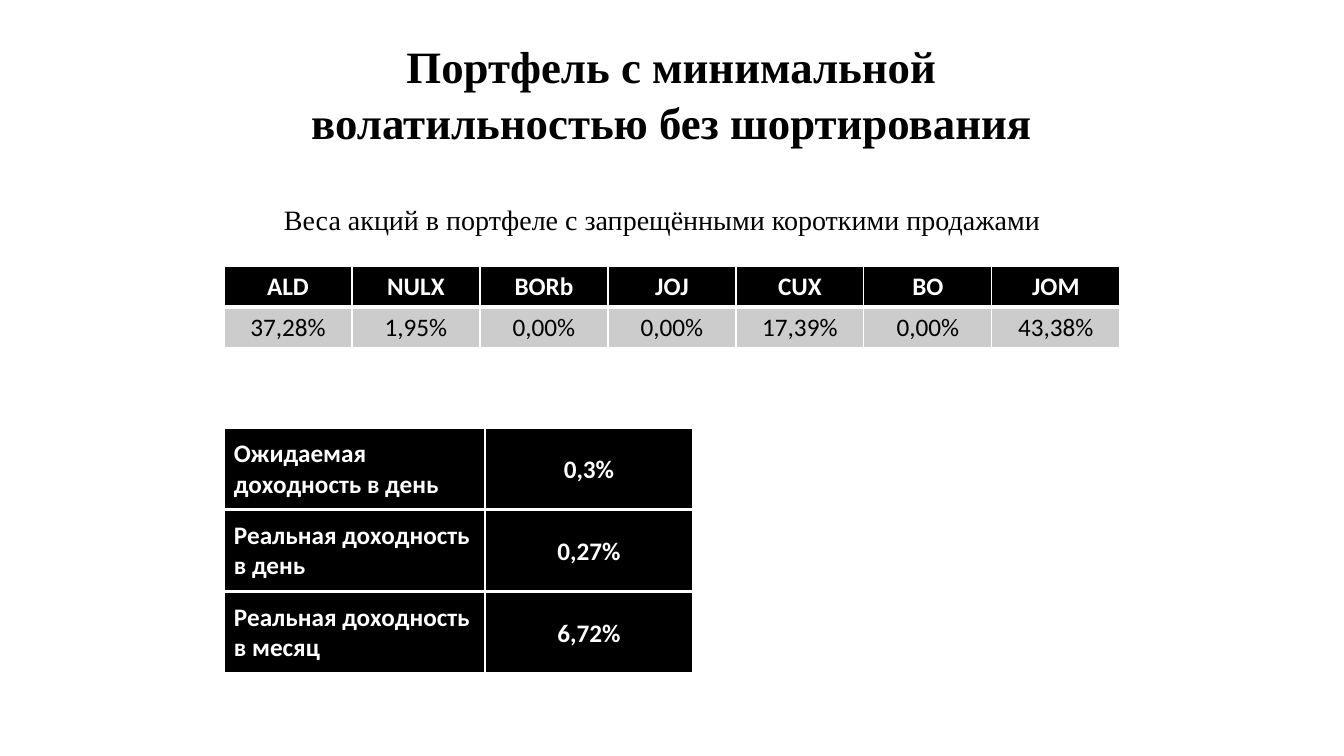
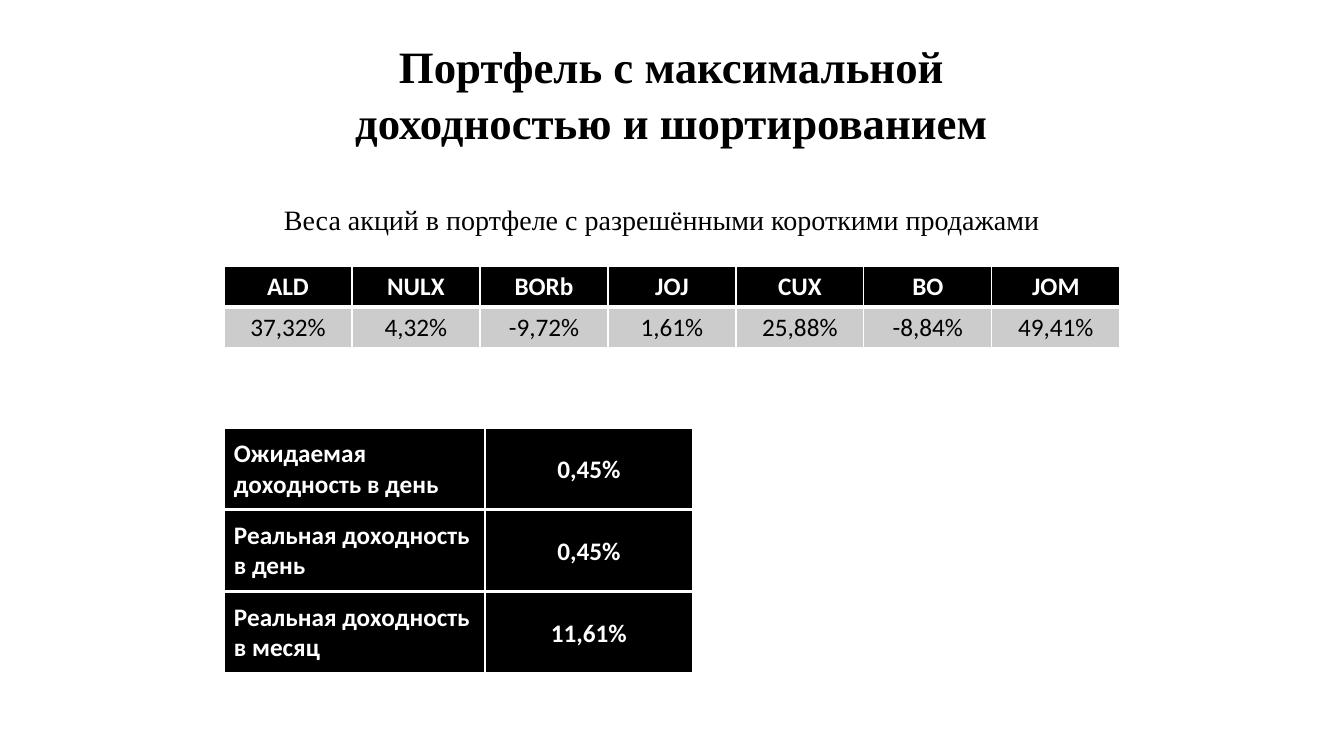
from dataclasses import dataclass
from typing import Any, Optional

from lxml import etree
from pptx import Presentation
from pptx import util as u
from pptx.dml.color import RGBColor
from pptx.enum import text
from pptx.oxml.ns import qn

SCALE = 12192000 / 1344
BLACK, WHITE, GREY = "000000", "FFFFFF", "CCCCCC"
SERIF, SANS = "Times New Roman", "Calibri"
LEFT, CENTER = text.PP_ALIGN.LEFT, text.PP_ALIGN.CENTER
PAD = dict(left=1, top=1, right=1, bottom=0)
WIDE = dict(left=10, top=5, right=10, bottom=5)


@dataclass(frozen=True)
class Style:
    """Look of one run of text and its paragraph."""
    size: int
    face: str
    hue: str
    bold: bool = False
    align: Any = CENTER
    lead: Optional[float] = None


@dataclass(frozen=True)
class Look:
    """Look of one table cell; rule is the lower border in points."""
    style: Style
    fill: str
    rule: int
    pad: dict


@dataclass(frozen=True)
class Page:
    """Words and values of one slide."""
    title: str
    note: str
    shares: tuple
    gains: tuple


TITLE = Style(32, SERIF, BLACK, bold=True, lead=1.05)
NOTE = Style(20, SERIF, BLACK, align=LEFT)
STRONG = Style(18, SANS, WHITE, bold=True)
HEAD = Look(STRONG, BLACK, 3, PAD)
BODY = Look(Style(18, SANS, BLACK), GREY, 1, PAD)
LABEL = Look(Style(18, SANS, WHITE, bold=True, align=LEFT), BLACK, 3, WIDE)

TITLE_BOX = (293, 31, 757, 119)
NOTE_BOX = (274, 198, 795, 44)
EDGE, SHARE_TOP, GAIN_TOP = 224, 266, 428
SHARE_COL, SHARE_ROW = 128, 41
GAIN_COLS, GAIN_ROW = (261, 208), 82

STOCKS = ("ALD", "NULX", "BORb", "JOJ", "CUX", "BO", "JOM")
GAINS = ("Ожидаемая доходность в день",
         "Реальная доходность в день",
         "Реальная доходность в месяц")
PAGES = (
    Page("Портфель с минимальной волатильностью без шортирования",
         "Веса акций в портфеле с запрещёнными короткими продажами",
         ("37,28%", "1,95%", "0,00%", "0,00%", "17,39%", "0,00%", "43,38%"),
         ("0,3%", "0,27%", "6,72%")),
    Page("Портфель с максимальной доходностью и шортированием",
         "Веса акций в портфеле с разрешёнными короткими продажами",
         ("37,32%", "4,32%", "-9,72%", "1,61%", "25,88%", "-8,84%", "49,41%"),
         ("0,45%", "0,45%", "11,61%")),
)


def px(n: float) -> u.Emu:
    """Turn pixels into EMU."""
    return u.Emu(round(n * SCALE))


def color(code: str) -> RGBColor:
    """Turn a hex string into a colour."""
    return RGBColor.from_string(code)


def assign(item: Any, values: dict) -> None:
    """Set attributes of an item from a dict."""
    for name, value in values.items():
        setattr(item, name, value)


def write(frame: Any, words: str, style: Style) -> None:
    """Put one styled paragraph into a text frame."""
    para = frame.paragraphs[0]
    assign(para, dict(alignment=style.align, line_spacing=style.lead))
    run = para.add_run()
    run.text = words
    assign(run.font, dict(size=u.Pt(style.size), name=style.face,
                          bold=style.bold))
    run.font.color.rgb = color(style.hue)


def add_text(slide: Any, box: tuple, words: str, style: Style) -> None:
    """Add a wrapping text box."""
    frame = slide.shapes.add_textbox(*map(px, box)).text_frame
    assign(frame, dict(word_wrap=True,
                       auto_size=text.MSO_AUTO_SIZE.SHAPE_TO_FIT_TEXT))
    write(frame, words, style)


def border(cell: Any, rule: int) -> None:
    """Draw white cell borders, the lower one as thick as the rule."""
    props = cell._tc.get_or_add_tcPr()
    for side, width in dict(L=1, R=1, T=1, B=rule).items():
        line = etree.SubElement(props, qn(f"a:ln{side}"), w=str(u.Pt(width)))
        fill = etree.SubElement(line, qn("a:solidFill"))
        etree.SubElement(fill, qn("a:srgbClr"), val=WHITE)


def fill_cell(cell: Any, words: str, look: Look) -> None:
    """Format one cell and write its text."""
    border(cell, look.rule)
    cell.fill.solid()
    cell.fill.fore_color.rgb = color(look.fill)
    cell.vertical_anchor = text.MSO_ANCHOR.MIDDLE
    assign(cell, {f"margin_{side}": px(n) for side, n in look.pad.items()})
    write(cell.text_frame, words, look.style)


def add_grid(slide: Any, top: int, cols: tuple, high: int,
             rows: tuple, looks: tuple) -> None:
    """Add a table at the left edge, with one look for each cell."""
    box = (EDGE, top, sum(cols), high * len(rows))
    grid = slide.shapes.add_table(len(rows), len(cols), *map(px, box)).table
    assign(grid, dict(first_row=False, horz_banding=False))
    for col, wide in zip(grid.columns, cols):
        col.width = px(wide)
    for row, line, kinds in zip(grid.rows, rows, looks):
        row.height = px(high)
        for cell, words, look in zip(row.cells, line, kinds):
            fill_cell(cell, words, look)


def draw(deck: Any, page: Page) -> None:
    """Build one portfolio slide."""
    slide = deck.slides.add_slide(deck.slide_layouts[6])
    add_text(slide, TITLE_BOX, page.title, TITLE)
    add_text(slide, NOTE_BOX, page.note, NOTE)
    count = len(STOCKS)
    add_grid(slide, SHARE_TOP, (SHARE_COL,) * count, SHARE_ROW,
             (STOCKS, page.shares), ((HEAD,) * count, (BODY,) * count))
    for i, pair in enumerate(zip(GAINS, page.gains)):
        add_grid(slide, GAIN_TOP + i * GAIN_ROW, GAIN_COLS, GAIN_ROW,
                 (pair,), ((LABEL, HEAD),))


def main() -> None:
    """Build and save the deck."""
    deck = Presentation()
    assign(deck, dict(slide_width=px(1344), slide_height=px(756)))
    for page in PAGES:
        draw(deck, page)
    deck.save("out.pptx")


main()
